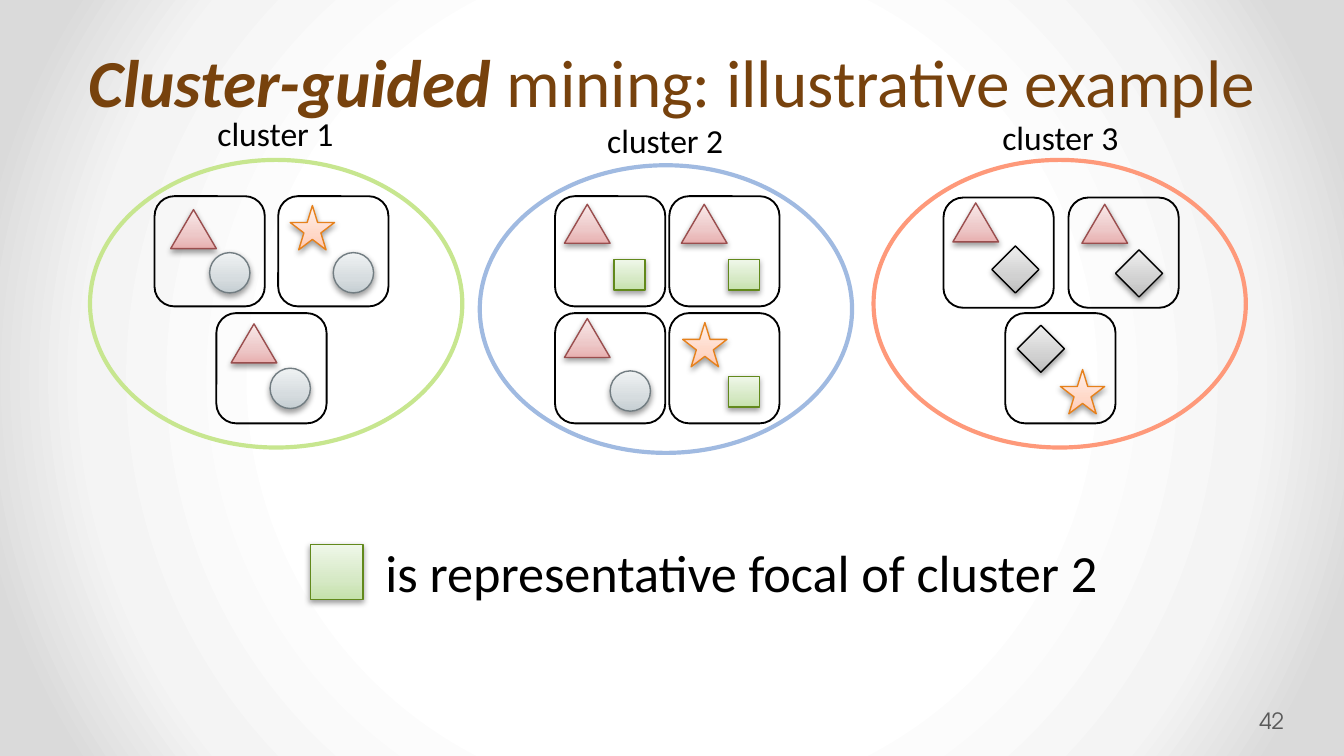
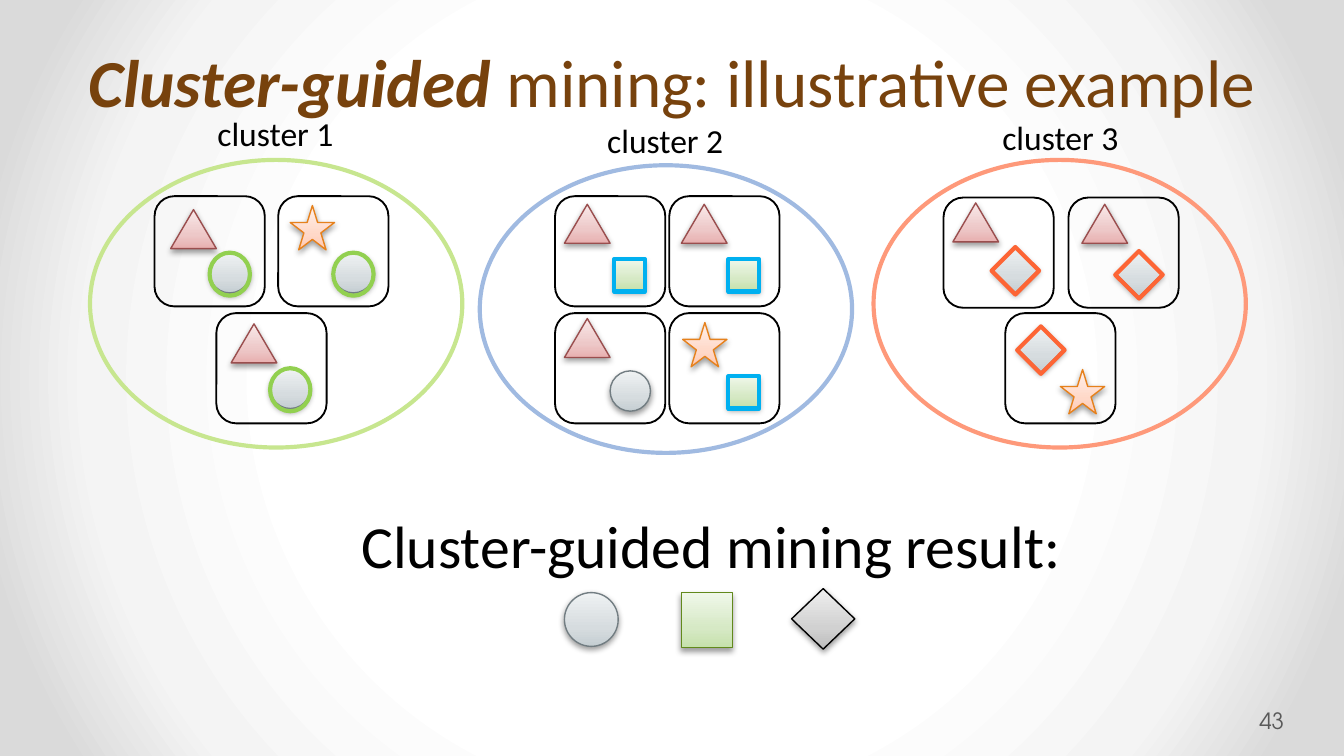
from pptx import Presentation
from pptx.dml.color import RGBColor
from pptx.enum.shapes import MSO_SHAPE as Preset
from pptx.enum.text import MSO_ANCHOR as Anchor, MSO_AUTO_SIZE as AutoSize, PP_ALIGN as Align
from pptx.oxml import parse_xml
from pptx.oxml.ns import nsdecls, qn
from pptx.util import Inches, Pt

BLACK = "000000"
BROWN = "77420D"
GREY = "595959"
BODY_FONT = "Calibri"
NUMBER_FONT = "TeX Gyre Adventor"
CARD = 0.82

SILVER = ("C5CED2", "D6DCDF", "EFF2F3")
FIGURES = {
    "triangle": (Preset.ISOSCELES_TRIANGLE, 0.34, 0.29, "9A4E4E", ("E8B0B0", "EDC8C8", "F9E9E9")),
    "circle": (Preset.OVAL, 0.3, 0.3, "727D82", SILVER),
    "square": (Preset.RECTANGLE, 0.23, 0.23, "62891C", ("C5E1AB", "D6E9C5", "EFF7E9")),
    "star": (Preset.STAR_5_POINT, 0.33, 0.33, "E6811C", ("FFC9B1", "FFD8C8", "FFF0EA")),
    "diamond": (Preset.FLOWCHART_DECISION, 0.35, 0.35, BLACK, ("BDBDBD", "D1D1D1", "EEEEEE")),
    "pale diamond": (Preset.FLOWCHART_DECISION, 0.35, 0.35, "727D82", SILVER),
}

HIGHLIGHTS = {
    "circle": (Preset.OVAL, 0, 0, 0.3, 0.32, 0, "92D050"),
    "square": (Preset.RECTANGLE, 0, 0, 0.23, 0.24, 0, "00B0F0"),
    "diamond": (Preset.RECTANGLE, 0.05, 0.06, 0.25, 0.25, 44.9, "FD6535"),
}

CLUSTERS = [
    ("cluster 1", 1.51, 0.79, 0.67, 1.19, "C7E68F", "circle", [
        (1.61, 2.33, [("triangle", 1.72, 2.41), ("circle", 2.01, 2.74)]),
        (1.15, 1.46, [("triangle", 1.27, 1.56), ("circle", 1.56, 1.88)]),
        (2.07, 1.46, [("circle", 2.48, 1.88), ("star", 2.16, 1.53)]),
    ]),
    ("cluster 2", 4.41, 0.84, 3.57, 1.23, "A0BAE1", "square", [
        (4.13, 2.33, [("triangle", 4.2, 2.37), ("circle", 4.54, 2.76)]),
        (4.98, 1.46, [("triangle", 5.07, 1.52), ("square", 5.42, 1.93)]),
        (4.13, 1.46, [("triangle", 4.2, 1.52), ("square", 4.57, 1.93)]),
        (4.98, 2.33, [("square", 5.42, 2.8), ("star", 5.08, 2.4)]),
    ]),
    ("cluster 3", 7.35, 0.82, 6.5, 1.19, "FE997A", "diamond", [
        (7.02, 1.47, [("triangle", 7.09, 1.51), ("diamond", 7.38, 1.83)]),
        (7.48, 2.33, [("star", 7.89, 2.75), ("diamond", 7.57, 2.42)]),
        (7.95, 1.47, [("triangle", 8.05, 1.52), ("diamond", 8.3, 1.86)]),
    ]),
]

CONCLUSIONS = [
    (42, False, "is representative focal of cluster 2", (2.77, 3.97, 5.56, 0.57), 28,
     [("square", 2.31, 4.05, 0.39, 0.41)]),
    (43, True, "Cluster-guided mining result:", (2.59, 3.74, 5.48, 0.64), 32,
     [("circle", 4.2, 4.41, 0.4, 0.4),
      ("square", 5.07, 4.41, 0.38, 0.41),
      ("diamond", 5.89, 4.38, 0.47, 0.45)]),
]

BACKDROP = f"""<p:bg {nsdecls("p", "a")}><p:bgPr><a:gradFill rotWithShape="1"><a:gsLst>
<a:gs pos="50000"><a:srgbClr val="FFFFFF"/></a:gs>
<a:gs pos="76000"><a:srgbClr val="F4F4F4"/></a:gs>
<a:gs pos="92000"><a:srgbClr val="DADADA"/></a:gs></a:gsLst>
<a:path path="circle"><a:fillToRect l="50000" t="50000" r="50000" b="50000"/></a:path>
</a:gradFill><a:effectLst/></p:bgPr></p:bg>"""

SHADOW = f"""<a:outerShdw {nsdecls("a")} blurRad="40000" dist="20000" dir="5400000" rotWithShape="0">
<a:srgbClr val="000000"><a:alpha val="38000"/></a:srgbClr></a:outerShdw>"""


def draw(slide, preset, box, line, weight, shades=None):
    shape = slide.shapes.add_shape(preset, *map(Inches, box))
    shape.shadow.inherit = False
    if shades:
        stops = "".join(f'<a:gs pos="{pos}"><a:srgbClr val="{shade}"/></a:gs>'
                        for pos, shade in zip((0, 35000, 100000), shades))
        properties = shape.element.spPr
        properties.find(qn("a:prstGeom")).addnext(parse_xml(
            f'<a:gradFill {nsdecls("a")} rotWithShape="1"><a:gsLst>{stops}</a:gsLst>'
            '<a:lin ang="16200000" scaled="0"/></a:gradFill>'))
        properties.find(qn("a:effectLst")).append(parse_xml(SHADOW))
    else:
        shape.fill.background()
    shape.line.color.rgb = RGBColor.from_string(line)
    shape.line.width = Pt(weight)
    return shape


def write(slide, box, pieces, size, color=BLACK, font=BODY_FONT, align=Align.LEFT):
    frame = slide.shapes.add_textbox(*map(Inches, box)).text_frame
    frame.word_wrap = False
    paragraph = frame.paragraphs[0]
    paragraph.alignment = align
    for piece in pieces:
        run = paragraph.add_run()
        run.text = piece
        run.font.size = Pt(size)
        run.font.name = font
        run.font.color.rgb = RGBColor.from_string(color)
    return frame


deck = Presentation()
deck.slide_width = Inches(10)
deck.slide_height = Inches(10) * 9 // 16

for number, highlighted, conclusion, conclusion_box, conclusion_size, results in CONCLUSIONS:
    slide = deck.slides.add_slide(deck.slide_layouts[6])
    slide.element.cSld.insert(0, parse_xml(BACKDROP))

    title = write(slide, (0.5, 0.02, 9, 0.93),
                  ["Cluster-guided", " mining: illustrative example"], 36, BROWN, align=Align.CENTER)
    title.word_wrap = True
    title.vertical_anchor = Anchor.BOTTOM
    title.paragraphs[0].line_spacing = Pt(58)
    emphasis = title.paragraphs[0].runs[0].font
    emphasis.bold = emphasis.italic = True

    for label, label_left, label_top, left, top, color, focal, cards in CLUSTERS:
        for card_left, card_top, members in cards:
            card = draw(slide, Preset.ROUNDED_RECTANGLE, (card_left, card_top, CARD, CARD), BLACK, 1)
            card.adjustments[0] = 0.18
            for kind, x, y in members:
                look = "pale diamond" if highlighted and kind == "diamond" else kind
                preset, width, height, line, shades = FIGURES[look]
                draw(slide, preset, (x, y, width, height), line, 0.75, shades)
                if highlighted and kind == focal:
                    preset, dx, dy, width, height, angle, line = HIGHLIGHTS[kind]
                    ring = draw(slide, preset, (x + dx, y + dy, width, height), line, 2.25)
                    ring.rotation = angle
        caption = write(slide, (label_left, label_top, 1.08, 0.4), [label], 18, align=Align.CENTER)
        caption.auto_size = AutoSize.SHAPE_TO_FIT_TEXT
        draw(slide, Preset.OVAL, (left, top, 2.77, 2.14), color, 2.25)

    statement = write(slide, conclusion_box, [conclusion], conclusion_size)
    statement.auto_size = AutoSize.SHAPE_TO_FIT_TEXT
    for kind, *box in results:
        preset, _, _, line, shades = FIGURES[kind]
        draw(slide, preset, box, line, 0.75, shades)

    page = write(slide, (9.34, 5.21, 0.61, 0.3), [str(number)], 12, GREY, NUMBER_FONT)
    page.word_wrap = True
    page.vertical_anchor = Anchor.MIDDLE
    page.margin_left = Inches(0.03)
    page.margin_right = Inches(0.05)

deck.save("out.pptx")
